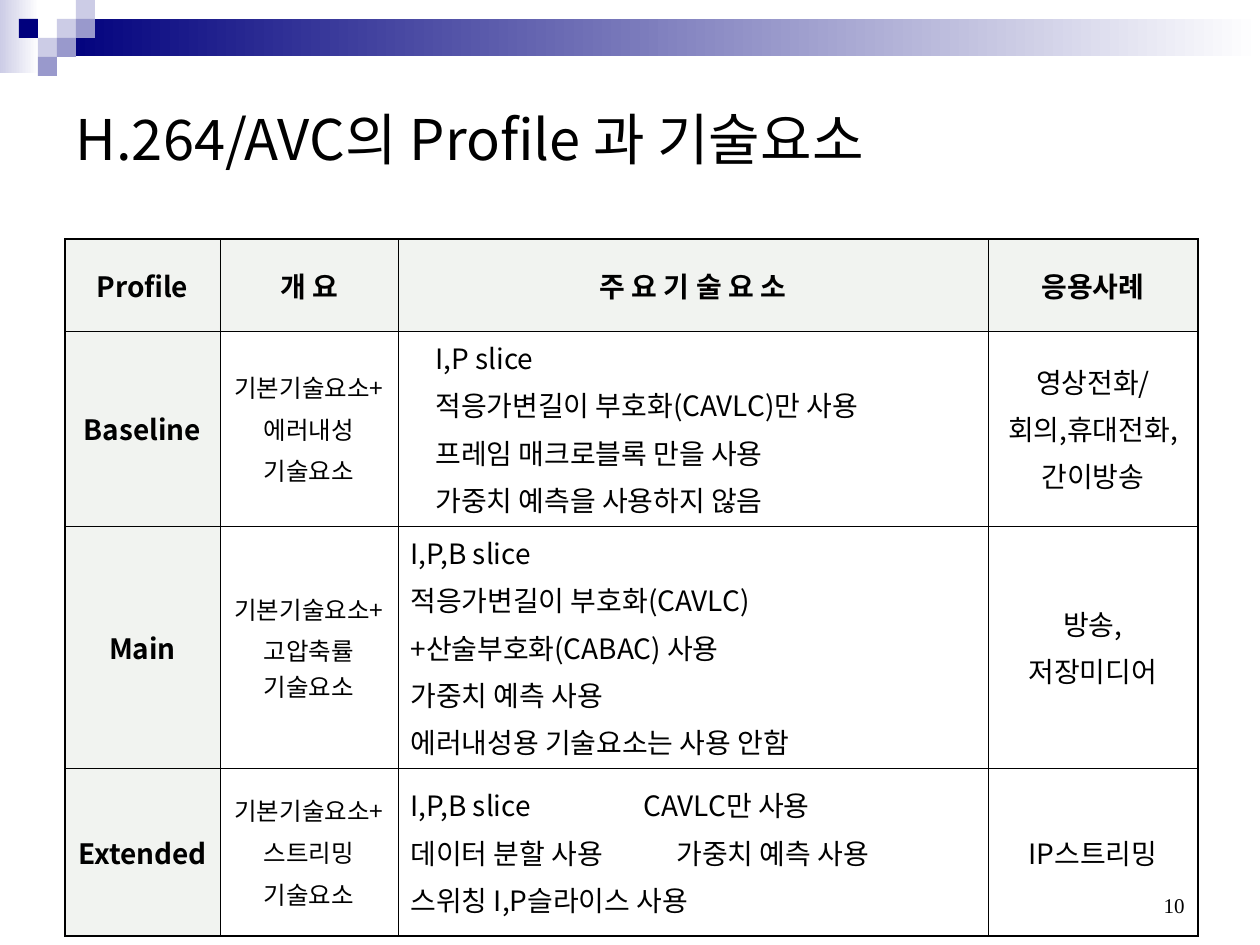
from dataclasses import dataclass

import pptx
import pptx.dml.color
import pptx.enum.shapes
import pptx.enum.text
import pptx.oxml
import pptx.oxml.ns
import pptx.util

RGBColor = pptx.dml.color.RGBColor
ALIGN = pptx.enum.text.PP_ALIGN
ANCHOR = pptx.enum.text.MSO_ANCHOR
qn = pptx.oxml.ns.qn

EMU_PER_PX = 914400 / 126
BLACK = RGBColor(0x00, 0x00, 0x00)
WHITE = RGBColor(0xFF, 0xFF, 0xFF)
NAVY = RGBColor(0x00, 0x00, 0x7D)
PERIWINKLE = RGBColor(0x99, 0x99, 0xCC)
LAVENDER = RGBColor(0xCC, 0xCC, 0xE6)
HEADER_TINT = RGBColor(0xE4, 0xE9, 0xE3)
SANS = "Noto Sans CJK KR"
SERIF = "Times New Roman"
THIN, THICK = 0.45, 1.08
SQUARE = 19


@dataclass(frozen=True)
class Band:
    left: int
    top: int
    width: int
    height: int
    color: RGBColor


@dataclass(frozen=True)
class Square:
    col: int
    row: int
    color: RGBColor


@dataclass(frozen=True)
class ColumnStyle:
    width: int
    size: int
    before: float
    bold: bool = False
    align: ALIGN = ALIGN.CENTER


BANDS = [Band(0, 0, 39, 73, LAVENDER), Band(57, 19, 1203, 37, NAVY)]
SQUARES = [
    Square(3, 1, LAVENDER), Square(4, 0, LAVENDER), Square(4, 1, PERIWINKLE),
    Square(2, 2, LAVENDER), Square(1, 1, NAVY), Square(3, 2, PERIWINKLE),
    Square(2, 3, PERIWINKLE),
]
COLUMNS = [
    ColumnStyle(155, 16, 4, bold=True),
    ColumnStyle(178, 14, 3.5),
    ColumnStyle(590, 16, 4, align=ALIGN.LEFT),
    ColumnStyle(210, 16, 4),
]
ROW_HEIGHTS = [92, 169, 209, 142]
ROWS = [
    ["Profile", "개 요", "주 요 기 술 요 소", "응용사례"],
    ["Baseline",
     "기본기술요소+\n에러내성\n기술요소",
     "I,P slice\n적응가변길이 부호화(CAVLC)만 사용\n"
     "프레임 매크로블록 만을 사용\n가중치 예측을 사용하지 않음",
     "영상전화/\n회의,휴대전화,\n간이방송"],
    ["Main",
     "기본기술요소+\n고압축률 기술요소",
     "I,P,B slice\n적응가변길이 부호화(CAVLC)\n+산술부호화(CABAC) 사용\n"
     "가중치 예측 사용\n에러내성용 기술요소는 사용 안함",
     "방송,\n저장미디어"],
    ["Extended",
     "기본기술요소+\n스트리밍\n기술요소",
     "I,P,B slice\tCAVLC만 사용\n데이터 분할 사용\t가중치 예측 사용\n"
     "스위칭 I,P슬라이스 사용",
     "IP스트리밍"],
]
BASELINE_ROW, FEATURE_COL = 1, 2
BASELINE_INDENT = 25
EXTENDED_TABS = [233, 266]


def px(n: int) -> int:
    return round(n * EMU_PER_PX)


def format_text(tf, font: str, size: int, align, before: float = 0, bold: bool = False) -> None:
    """Format every run, and keep punctuation inside the text margins."""
    for p in tf.paragraphs:
        p.alignment = align
        p.space_before = pptx.util.Pt(before)
        p._p.get_or_add_pPr().set("hangingPunct", "0")
        for r in p.runs:
            r.font.name = font
            r.font.size = pptx.util.Pt(size)
            r.font.bold = bold
            r.font.color.rgb = BLACK
            ea = pptx.oxml.parse_xml(f'<a:ea {pptx.oxml.ns.nsdecls("a")} typeface="{font}"/>')
            r.font._element.find(qn("a:latin")).addnext(ea)


def add_rect(slide, left: int, top: int, width: int, height: int):
    sp = slide.shapes.add_shape(
        pptx.enum.shapes.MSO_SHAPE.RECTANGLE, px(left), px(top), px(width), px(height))
    sp.shadow.inherit = False
    sp.line.fill.background()
    return sp


def add_band(slide, band: Band) -> None:
    """Draw a bar that fades from its colour on the left to white."""
    fill = add_rect(slide, band.left, band.top, band.width, band.height).fill
    fill.gradient()
    fill.gradient_angle = 180
    for stop, position, color in zip(fill.gradient_stops, (0, 1), (WHITE, band.color)):
        stop.position = position
        stop.color.rgb = color


def add_square(slide, square: Square) -> None:
    sp = add_rect(slide, square.col * SQUARE, square.row * SQUARE, SQUARE, SQUARE)
    sp.fill.solid()
    sp.fill.fore_color.rgb = square.color


def set_borders(cell, row: int, col: int) -> None:
    """Outer table edges are thick, inner ones thin."""
    outer = {"lnL": col == 0, "lnR": col == len(COLUMNS) - 1,
             "lnT": row == 0, "lnB": row == len(ROWS) - 1}
    for tag, is_outer in outer.items():
        width = pptx.util.Pt(THICK if is_outer else THIN)
        cell._tc.get_or_add_tcPr().append(pptx.oxml.parse_xml(
            f'<a:{tag} {pptx.oxml.ns.nsdecls("a")} w="{width}"><a:solidFill>'
            f'<a:srgbClr val="{BLACK}"/></a:solidFill></a:{tag}>'))


def tint(cell) -> None:
    """Fill a header cell with the half-transparent tint."""
    cell.fill.solid()
    cell.fill.fore_color.rgb = HEADER_TINT
    color = cell._tc.tcPr.find(qn("a:solidFill"))[0]
    color.append(pptx.oxml.parse_xml(f'<a:alpha {pptx.oxml.ns.nsdecls("a")} val="50000"/>'))


def fill_cell(cell, row: int, col: int) -> None:
    style = COLUMNS[col]
    is_header = row == 0
    cell.vertical_anchor = ANCHOR.MIDDLE
    cell.text_frame.text = ROWS[row][col]
    if is_header:
        format_text(cell.text_frame, SANS, 16, ALIGN.CENTER, 4, True)
    else:
        format_text(cell.text_frame, SANS, style.size, style.align, style.before, style.bold)
    set_borders(cell, row, col)
    if is_header or col == 0:
        tint(cell)
    else:
        cell.fill.background()


def add_profile_table(slide) -> None:
    frame = slide.shapes.add_table(
        len(ROWS), len(COLUMNS), px(65), px(239),
        px(sum(c.width for c in COLUMNS)), px(sum(ROW_HEIGHTS)))
    table = frame.table
    table.first_row = table.horz_banding = False
    for column, style in zip(table.columns, COLUMNS):
        column.width = px(style.width)
    for row, height in enumerate(ROW_HEIGHTS):
        table.rows[row].height = px(height)
        for col in range(len(COLUMNS)):
            fill_cell(table.cell(row, col), row, col)

    for p in table.cell(BASELINE_ROW, FEATURE_COL).text_frame.paragraphs:
        p._p.get_or_add_pPr().set("marL", str(px(BASELINE_INDENT)))
    extended = table.cell(len(ROWS) - 1, FEATURE_COL).text_frame.paragraphs
    for p, position in zip(extended, EXTENDED_TABS):
        p._p.get_or_add_pPr().append(pptx.oxml.parse_xml(
            f'<a:tabLst {pptx.oxml.ns.nsdecls("a")}><a:tab pos="{px(position)}" algn="l"/></a:tabLst>'))


def add_title(slide, text: str) -> None:
    title = slide.shapes.title
    title.left, title.top, title.width, title.height = px(63), px(63), px(1134), px(151)
    tf = title.text_frame
    tf.text = text
    tf.auto_size = pptx.enum.text.MSO_AUTO_SIZE.NONE
    tf.vertical_anchor = ANCHOR.MIDDLE
    format_text(tf, SANS, 32, ALIGN.LEFT)


def add_page_number(slide, number: str) -> None:
    tf = slide.shapes.add_textbox(px(903), px(861), px(294), px(63)).text_frame
    tf.word_wrap = True
    tf.vertical_anchor = ANCHOR.BOTTOM
    tf.text = number
    format_text(tf, SERIF, 12, ALIGN.RIGHT)


def main() -> None:
    prs = pptx.Presentation()
    prs.slide_width, prs.slide_height = px(1260), px(945)
    slide = prs.slides.add_slide(prs.slide_layouts[5])
    for band in BANDS:
        add_band(slide, band)
    for square in SQUARES:
        add_square(slide, square)
    add_title(slide, "H.264/AVC의 Profile 과 기술요소")
    add_profile_table(slide)
    add_page_number(slide, "10")
    prs.save("out.pptx")


if __name__ == "__main__":
    main()
